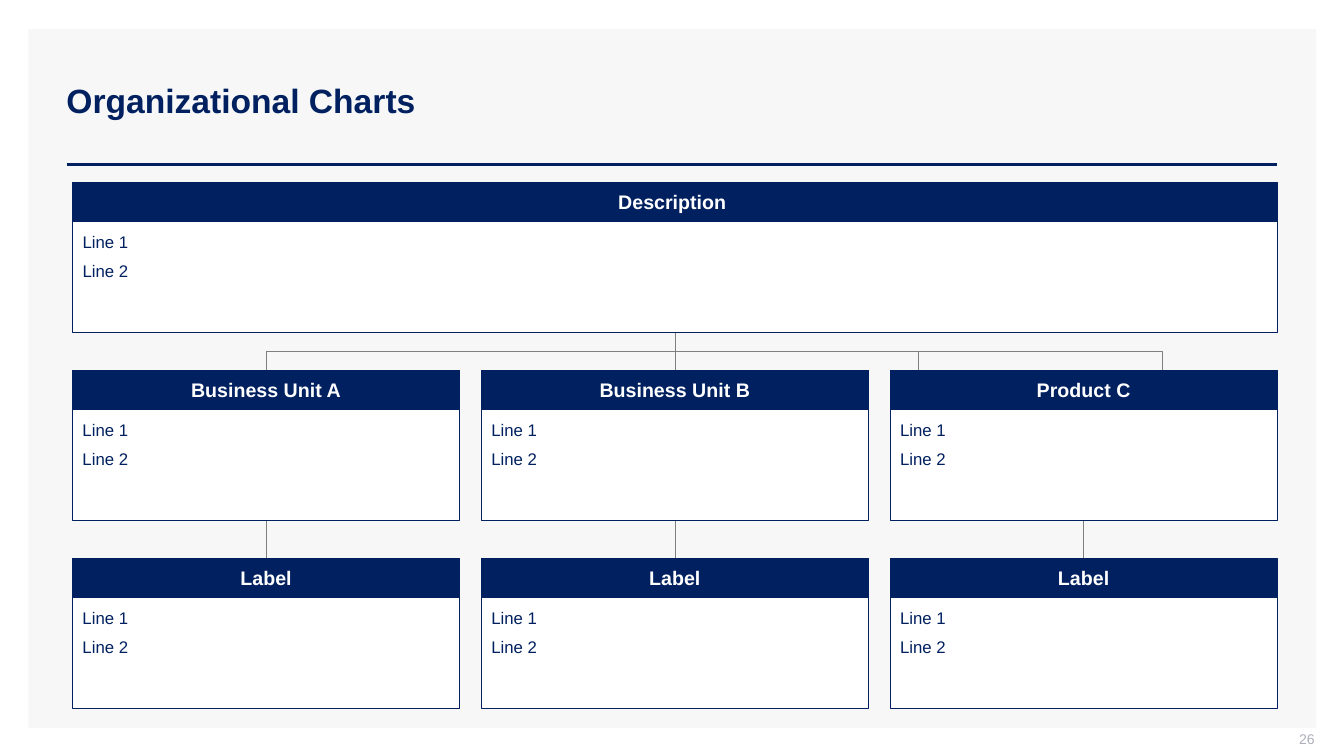
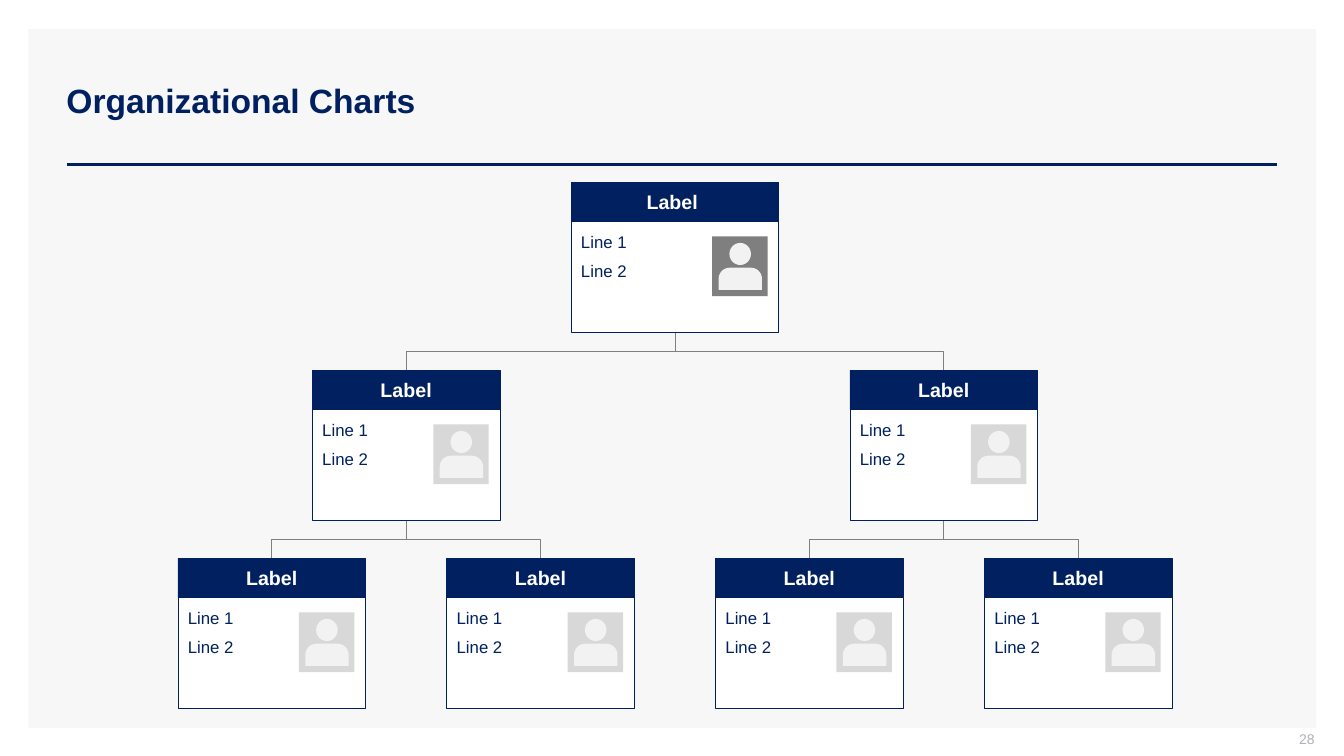
from dataclasses import dataclass

from lxml import etree
from pptx import Presentation
from pptx.dml.color import RGBColor
from pptx.enum.shapes import MSO_CONNECTOR, MSO_SHAPE
from pptx.enum.text import MSO_ANCHOR, PP_ALIGN
from pptx.oxml.ns import qn
from pptx.shapes.autoshape import Shape
from pptx.shapes.connector import Connector
from pptx.slide import Slide
from pptx.text.text import TextFrame
from pptx.util import Pt

RECTANGLE = MSO_SHAPE.RECTANGLE
OVAL = MSO_SHAPE.OVAL
ROUND_TOP = MSO_SHAPE.ROUND_2_SAME_RECTANGLE
STRAIGHT = MSO_CONNECTOR.STRAIGHT
ELBOW = MSO_CONNECTOR.ELBOW
TOP, MIDDLE = MSO_ANCHOR.TOP, MSO_ANCHOR.MIDDLE
LEFT, CENTER, RIGHT = PP_ALIGN.LEFT, PP_ALIGN.CENTER, PP_ALIGN.RIGHT

FONT = "Arial"
NAVY = "002060"
WHITE = "FFFFFF"
PANEL = "F7F7F7"
PAGE_NUMBER = "ADAFBB"
GRAY = "7F7F7F"
LIGHT_GRAY = "D8D8D8"
FIGURE = "F2F2F2"

SLIDE_WIDTH, SLIDE_HEIGHT = 960, 540
TITLE = "Organizational Charts"
BODY_LINES = ["Line 1", "Line 2"]

FIRST_TOP = 130.3
LEVEL_PITCH = 134.3
HEADER_HEIGHT = 28.1
BODY_HEIGHT = 79.2
CHART_CENTER = 482.1


@dataclass(frozen=True)
class TextStyle:
    size: float
    color: str
    bold: bool = False
    align: PP_ALIGN = LEFT
    anchor: MSO_ANCHOR = MIDDLE
    space_after: float = 0
    insets: tuple[float, float, float, float] = (7.2, 7.2, 7.2, 7.2)


TITLE_STYLE = TextStyle(24, NAVY, bold=True, insets=(7.2, 3.6, 7.2, 3.6))
NUMBER_STYLE = TextStyle(10, PAGE_NUMBER, align=RIGHT, insets=(7.2, 0, 0, 3.6))
HEADER_STYLE = TextStyle(14, WHITE, bold=True, align=CENTER)
BODY_STYLE = TextStyle(12, NAVY, anchor=TOP, space_after=6)


@dataclass(frozen=True)
class Card:
    heading: str
    center: float
    level: int
    width: float
    portrait: str | None = None

    @property
    def top(self) -> float:
        return FIRST_TOP + self.level * LEVEL_PITCH

    @property
    def bottom(self) -> float:
        return self.top + HEADER_HEIGHT + BODY_HEIGHT


def rgb(color: str) -> RGBColor:
    return RGBColor.from_string(color)


def write(frame: TextFrame, lines: list[str], style: TextStyle) -> None:
    frame.word_wrap = True
    frame.vertical_anchor = style.anchor
    (frame.margin_left, frame.margin_top,
     frame.margin_right, frame.margin_bottom) = map(Pt, style.insets)
    for index, line in enumerate(lines):
        paragraph = frame.add_paragraph() if index else frame.paragraphs[0]
        paragraph.alignment = style.align
        paragraph.space_after = Pt(style.space_after)
        run = paragraph.add_run()
        run.text = line
        run.font.name = FONT
        run.font.size = Pt(style.size)
        run.font.bold = style.bold
        run.font.color.rgb = rgb(style.color)


def add_text(slide: Slide, left: float, top: float, width: float, height: float,
             text: str, style: TextStyle) -> None:
    box = slide.shapes.add_textbox(Pt(left), Pt(top), Pt(width), Pt(height))
    write(box.text_frame, [text], style)


def add_block(shapes, kind: MSO_SHAPE, left: float, top: float, width: float,
              height: float, fill: str, outline: str | None = None) -> Shape:
    block = shapes.add_shape(kind, Pt(left), Pt(top), Pt(width), Pt(height))
    block.shadow.inherit = False
    block.fill.solid()
    block.fill.fore_color.rgb = rgb(fill)
    if outline:
        block.line.color.rgb = rgb(outline)
        block.line.width = Pt(0.5)
    else:
        block.line.fill.background()
    return block


def add_line(slide: Slide, kind: MSO_CONNECTOR, x1: float, y1: float, x2: float,
             y2: float, color: str, weight: float) -> Connector:
    line = slide.shapes.add_connector(kind, Pt(x1), Pt(y1), Pt(x2), Pt(y2))
    line.line.color.rgb = rgb(color)
    line.line.width = Pt(weight)
    etree.SubElement(line.element.spPr, qn("a:effectLst"))
    return line


def add_branch(slide: Slide, parent: Card, child_center: float) -> None:
    """Join a card's bottom to the next level, turning halfway down."""
    start, end = parent.bottom, parent.top + LEVEL_PITCH
    if child_center == parent.center:
        add_line(slide, STRAIGHT, parent.center, start, child_center, end, GRAY, 0.5)
        return
    # An elbow leaves sideways, so it is laid out on its side and then rotated.
    to_right = child_center > parent.center
    middle_x, middle_y = (parent.center + child_center) / 2, (start + end) / 2
    half_drop = (end - start) / 2 * (-1 if to_right else 1)
    half_span = abs(child_center - parent.center) / 2
    elbow = add_line(slide, ELBOW, middle_x - half_drop, middle_y - half_span,
                     middle_x + half_drop, middle_y + half_span, GRAY, 0.5)
    elbow.element.spPr.xfrm.set("rot", str((270 if to_right else 90) * 60000))


def add_portrait(shapes, left: float, top: float, color: str) -> None:
    add_block(shapes, RECTANGLE, left, top, 39.6, 42.8, color)
    add_block(shapes, OVAL, left + 12.3, top + 4.7, 15.4, 15.8, FIGURE)
    torso = add_block(shapes, ROUND_TOP, left + 4.6, top + 22.4, 31, 15.8, FIGURE)
    torso.adjustments[0] = 0.5
    torso.adjustments[1] = 0


def add_card(slide: Slide, card: Card) -> None:
    shapes = slide.shapes.add_group_shape().shapes
    left = card.center - card.width / 2
    body_top = card.top + HEADER_HEIGHT
    header = add_block(shapes, RECTANGLE, left, card.top, card.width,
                       HEADER_HEIGHT, NAVY, NAVY)
    write(header.text_frame, [card.heading], HEADER_STYLE)
    body = add_block(shapes, RECTANGLE, left, body_top, card.width,
                     BODY_HEIGHT, WHITE, NAVY)
    write(body.text_frame, BODY_LINES, BODY_STYLE)
    if card.portrait:
        add_portrait(shapes, left + card.width - 47.6, body_top + 10.4, card.portrait)


def add_base(prs: Presentation, number: int) -> Slide:
    """Add a slide with the shared panel, title, rule and page number."""
    slide = prs.slides.add_slide(prs.slide_layouts[6])
    add_block(slide.shapes, RECTANGLE, 20.2, 20.9, 920, 499, PANEL)
    add_line(slide, STRAIGHT, 47.6, 117.3, 912.2, 117.3, NAVY, 2)
    add_text(slide, 40.4, 28.8, 872, 85.7, TITLE, TITLE_STYLE)
    add_text(slide, 723, 522, 216, 15.1, str(number), NUMBER_STYLE)
    return slide


def build_units(prs: Presentation) -> None:
    slide = add_base(prs, 26)
    column_pitch, branch_pitch = 292, 174
    description = Card("Description ", CHART_CENTER, 0, 860.4)
    centers = [CHART_CENTER + step * column_pitch for step in (-1, 0, 1)]
    headings = ["Business Unit A", "Business Unit B", "Product C"]
    units = [Card(heading, center, 1, 276.5)
             for heading, center in zip(headings, centers)]
    labels = [Card("Label", center, 2, 276.5) for center in centers]

    branch_ends = centers[:2] + [CHART_CENTER + step * branch_pitch for step in (1, 2)]
    for end in branch_ends:
        add_branch(slide, description, end)
    for unit in units:
        add_branch(slide, unit, unit.center)
    for card in [description, *units, *labels]:
        add_card(slide, card)


def build_people(prs: Presentation) -> None:
    slide = add_base(prs, 28)
    step = 96
    leader = Card("Label ", CHART_CENTER, 0, 148.4, GRAY)
    add_card(slide, leader)
    for side in (-2, 2):
        manager = Card("Label", CHART_CENTER + side * step, 1, 134, LIGHT_GRAY)
        add_branch(slide, leader, manager.center)
        add_card(slide, manager)
        for offset in (-1, 1):
            member = Card("Label", manager.center + offset * step, 2, 134, LIGHT_GRAY)
            add_branch(slide, manager, member.center)
            add_card(slide, member)


def main() -> None:
    prs = Presentation()
    prs.slide_width, prs.slide_height = Pt(SLIDE_WIDTH), Pt(SLIDE_HEIGHT)
    build_units(prs)
    build_people(prs)
    prs.save("out.pptx")


if __name__ == "__main__":
    main()
